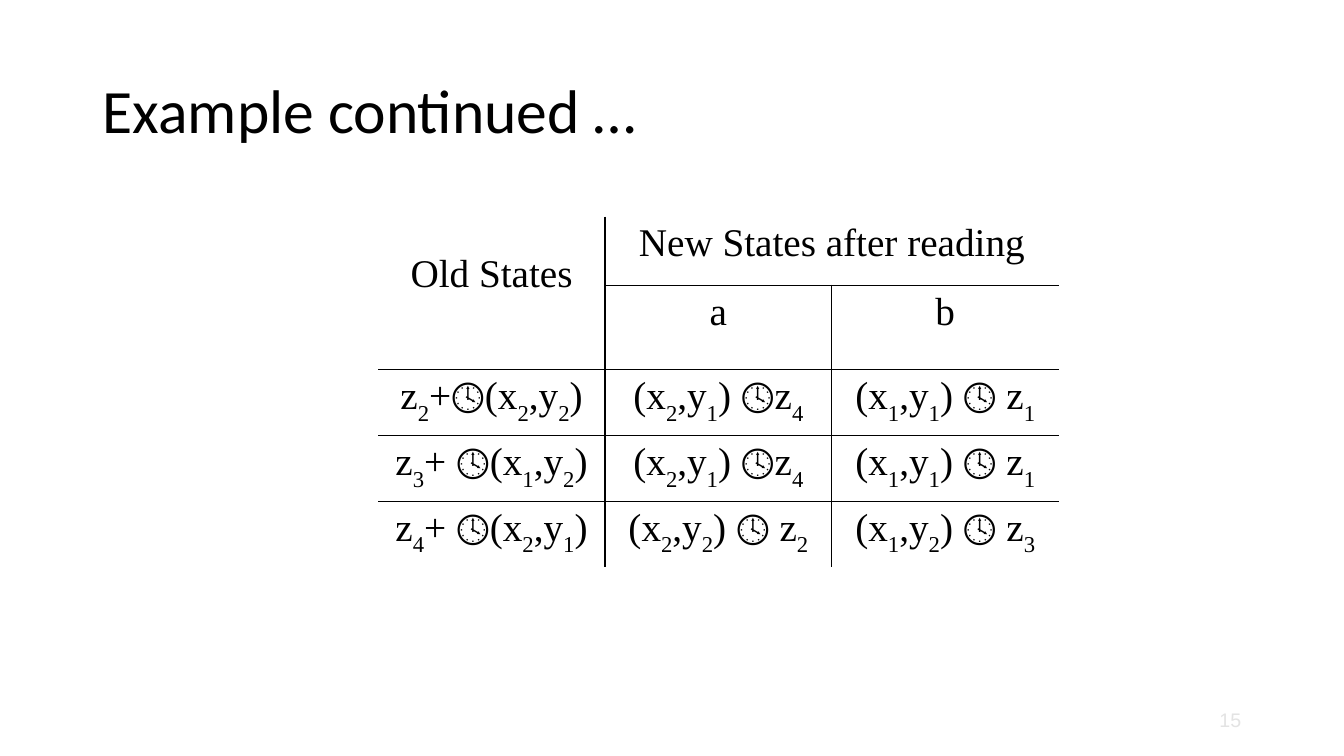
import pptx
import pptx.util
import pptx.dml.color
import pptx.enum.text
import pptx.oxml.ns
import lxml.etree

PX = 9144
COLORS = {"ink": "000000", "pale": "E3E3E3"}
HEADS = [["Old States", "New States after reading", ""], ["", "a", "b"]]
STATES = [
    ["z_2+🕓(x_2,y_2)", "(x_2,y_1) 🕓z_4", "(x_1,y_1) 🕓 z_1"],
    ["z_3+ 🕓(x_1,y_2)", "(x_2,y_1) 🕓z_4", "(x_1,y_1) 🕓 z_1"],
    ["z_4+ 🕓(x_2,y_1)", "(x_2,y_2) 🕓 z_2", "(x_1,y_2) 🕓 z_3"],
]
ALIGN = pptx.enum.text.PP_ALIGN
ANCHOR = pptx.enum.text.MSO_ANCHOR


class Deck:
    """Holds the style and the current slide."""

    def __init__(self, wide, high):
        self.show = pptx.Presentation()
        self.show.slide_width = wide * PX
        self.show.slide_height = high * PX
        self.slide = self.show.slides.add_slide(self.show.slide_layouts[6])

    def style(self, font, face, size, color):
        font.name = face
        font.size = pptx.util.Pt(size)
        font.color.rgb = pptx.dml.color.RGBColor.from_string(COLORS[color])

    def text(self, box, words, face, size, color, align):
        frame = self.slide.shapes.add_textbox(*[n * PX for n in box]).text_frame
        frame.word_wrap = True
        frame.vertical_anchor = ANCHOR.MIDDLE
        para = frame.paragraphs[0]
        para.text = words
        para.alignment = align
        para.line_spacing = 0.9
        self.style(para.runs[0].font, face, size, color)

    def label(self, para, words):
        para.alignment = ALIGN.CENTER
        first, *rest = words.split("_")
        parts = [(first, False)]
        for part in rest:
            parts += [(part[0], True), (part[1:], False)]
        for part, low in parts:
            if part:
                run = para.add_run()
                run.text = part
                self.style(run.font, "Times New Roman", 28, "ink")
                if low:
                    run.font._element.set("baseline", "-30000")

    def border(self, cell, sides):
        name = pptx.oxml.ns.qn
        props = cell._tc.get_or_add_tcPr()
        for spot, (side, shown) in enumerate(sides.items()):
            line = lxml.etree.Element(name("a:ln" + side), w="12700")
            if shown:
                fill = lxml.etree.SubElement(line, name("a:solidFill"))
                lxml.etree.SubElement(fill, name("a:srgbClr"), val=COLORS["ink"])
            else:
                lxml.etree.SubElement(line, name("a:noFill"))
            props.insert(spot, line)

    def table(self, left, top, wide, highs, rows, spans):
        count = len(rows[0])
        frame = self.slide.shapes.add_table(
            len(rows), count, left * PX, top * PX, wide * count * PX, sum(highs) * PX)
        grid = frame.table
        grid.first_row = grid.horz_banding = False
        for col in grid.columns:
            col.width = wide * PX
        for row, high in zip(grid.rows, highs):
            row.height = high * PX
        for start, end in spans:
            grid.cell(*start).merge(grid.cell(*end))
        for r, row in enumerate(rows):
            for c, words in enumerate(row):
                cell = grid.cell(r, c)
                cell.fill.background()
                self.label(cell.text_frame.paragraphs[0], words)
                own = not cell.is_spanned
                tall = cell.span_height if cell.is_merge_origin else 1
                broad = cell.span_width if cell.is_merge_origin else 1
                self.border(cell, {
                    "L": own and c > 0,
                    "R": own and c + broad < count,
                    "T": own and r > 0,
                    "B": own and r + tall < len(rows),
                })
        return grid


def main():
    deck = Deck(1333, 750)
    deck.text((92, 40, 1150, 145), "Example continued …", "Calibri", 44, "ink", ALIGN.LEFT)
    grid = deck.table(375, 215, 225, [68, 84, 61, 61, 61], HEADS + STATES,
                      [((0, 0), (1, 0)), ((0, 1), (0, 2))])
    old = grid.cell(0, 0)
    old.margin_top = 36 * PX
    old.margin_bottom = 0
    deck.text((1141, 695, 100, 40), "15", "Arial", 14, "pale", ALIGN.RIGHT)
    deck.show.save("out.pptx")


if __name__ == "__main__":
    main()
